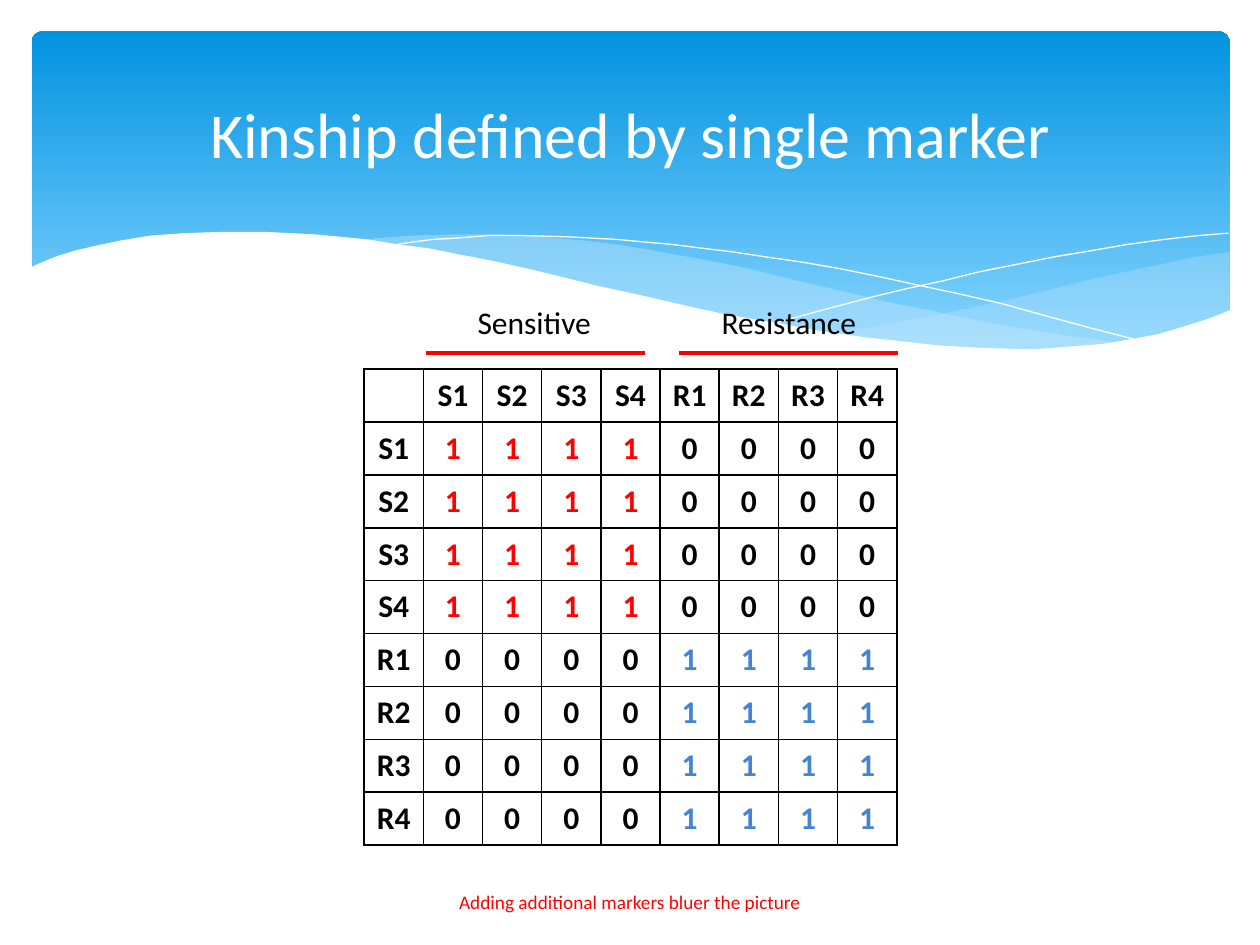
from lxml import etree
from pptx import Presentation
from pptx.dml.color import RGBColor
from pptx.enum.shapes import MSO_CONNECTOR, MSO_SHAPE
from pptx.enum.text import MSO_ANCHOR, PP_ALIGN
from pptx.oxml.ns import qn
from pptx.util import Inches, Pt

CENTER, MIDDLE, TOP = PP_ALIGN.CENTER, MSO_ANCHOR.MIDDLE, MSO_ANCHOR.TOP
WHITE = RGBColor(0xFF, 0xFF, 0xFF)
BLACK = RGBColor(0, 0, 0)
RED = RGBColor(0xFF, 0, 0)
BLUE = RGBColor(0x45, 0x84, 0xD3)
SKY_DARK = RGBColor(0x02, 0x93, 0xE0)
SKY_LIGHT = RGBColor(0x83, 0xD3, 0xFE)
WAVE_BLUE = RGBColor(0xC6, 0xE7, 0xFC)
FONT = "Calibri"

# Content
TITLE = "Kinship defined by single marker"
FOOTNOTE = "Adding additional markers bluer the picture"
SENSITIVE = ["S1", "S2", "S3", "S4"]
RESISTANT = ["R1", "R2", "R3", "R4"]
LINES = SENSITIVE + RESISTANT
# Group label, label left, label height, rule left
GROUPS = [("Sensitive", 3.53, 0.4, 3.38), ("Resistance", 5.55, 0.7, 5.39)]
RULE_WIDTH, RULE_TOP = 1.74, 2.8
TABLE_LEFT, TABLE_TOP, COLUMN_WIDTH, ROW_HEIGHT = 2.89, 2.93, 0.47, 0.42

# Banner waves, points in inches
RIGHT_WAVE = [
    (9.76, 2), (9.48, 2.04), (9.21, 2.1), (8.91, 2.16), (8.61, 2.23), (8.32, 2.3),
    (8.05, 2.37), (7.53, 2.48), (7.06, 2.57), (6.61, 2.65), (6.91, 2.69), (7.19, 2.72),
    (7.45, 2.75), (7.69, 2.77), (8.03, 2.78), (8.35, 2.77), (8.63, 2.75), (8.89, 2.72),
    (9.13, 2.67), (9.35, 2.61), (9.49, 2.57), (9.63, 2.52), (9.76, 2.47)]
LONG_WAVE = [
    (8.93, 2.73), (8.66, 2.69), (8.37, 2.65), (8.07, 2.6), (7.75, 2.54), (7.41, 2.47),
    (7.06, 2.4), (6.68, 2.31), (6.29, 2.22), (5.98, 2.14), (5.69, 2.08), (5.41, 2.03),
    (5.14, 1.98), (4.89, 1.94), (4.65, 1.91), (4.42, 1.89), (4.2, 1.87), (3.99, 1.86),
    (3.61, 1.86), (3.28, 1.87), (2.99, 1.89), (2.86, 1.91), (3.23, 1.96), (3.62, 2.03),
    (4.04, 2.11), (4.49, 2.22), (4.91, 2.32), (5.3, 2.4), (5.66, 2.48), (6.01, 2.55),
    (6.34, 2.61), (6.65, 2.66), (6.95, 2.7), (7.22, 2.74), (7.48, 2.76), (7.73, 2.77),
    (7.96, 2.78), (8.28, 2.78), (8.57, 2.77), (8.76, 2.75)]
FALLING_LINE = [
    (3.09, 1.95), (3.28, 1.92), (3.44, 1.9), (3.63, 1.89), (3.87, 1.87), (4.16, 1.87),
    (4.5, 1.88), (4.89, 1.9), (5.1, 1.92), (5.33, 1.94), (5.57, 1.97), (5.82, 2),
    (6.08, 2.04), (6.36, 2.08), (6.65, 2.13), (6.95, 2.19), (7.27, 2.26), (7.6, 2.33),
    (7.95, 2.41), (8.31, 2.51), (8.68, 2.61), (9.07, 2.71)]
RISING_LINE = [
    (6.13, 2.57), (6.53, 2.46), (6.95, 2.35), (7.2, 2.29), (7.48, 2.23), (7.76, 2.16),
    (8.06, 2.1), (8.36, 2.04), (8.66, 1.99), (8.95, 1.94), (9.24, 1.9), (9.51, 1.87),
    (9.75, 1.85)]
WHITE_WAVE = [
    (9.77, 2.46), (9.59, 2.53), (9.4, 2.59), (9.2, 2.65), (8.99, 2.69), (8.75, 2.73),
    (8.5, 2.75), (8.23, 2.77), (8.09, 2.77), (7.78, 2.76), (7.44, 2.74), (7.08, 2.7),
    (6.88, 2.68), (6.68, 2.65), (6.47, 2.62), (6.26, 2.58), (6.03, 2.54), (5.79, 2.5),
    (5.55, 2.45), (5.29, 2.39), (5.03, 2.33), (4.75, 2.27), (4.47, 2.2), (4.18, 2.13),
    (3.91, 2.07), (3.65, 2.02), (3.4, 1.97), (3.16, 1.94), (2.92, 1.9), (2.71, 1.88),
    (2.5, 1.86), (2.3, 1.85), (2.11, 1.84), (1.77, 1.84), (1.46, 1.85), (1.19, 1.87),
    (0.95, 1.91), (0.76, 1.95), (0.59, 1.99), (0.46, 2.03), (0.36, 2.07), (0.29, 2.1),
    (0.23, 2.13), (0.23, 3.29), (9.77, 3.29)]


def write(frame, text, size, color, anchor, bold=False):
    frame.word_wrap = True
    frame.vertical_anchor = anchor
    paragraph = frame.paragraphs[0]
    paragraph.alignment = CENTER
    run = paragraph.add_run()
    run.text = text
    font = run.font
    font.name, font.size, font.bold = FONT, Pt(size), bold
    font.color.rgb = color


def add_label(slide, text, box, size, color, anchor):
    label = slide.shapes.add_textbox(*map(Inches, box))
    write(label.text_frame, text, size, color, anchor)


def add_outline(slide, points, closed):
    corners = [(Inches(x), Inches(y)) for x, y in points]
    builder = slide.shapes.build_freeform(*corners[0])
    builder.add_line_segments(corners[1:], close=closed)
    outline = builder.convert_to_shape()
    outline.shadow.inherit = False
    return outline


def add_wave(slide, points, color, opacity=100):
    wave = add_outline(slide, points, True)
    wave.fill.solid()
    wave.fill.fore_color.rgb = color
    wave.line.fill.background()
    if opacity < 100:
        rgb = wave.element.spPr.find(".//" + qn("a:srgbClr"))
        etree.SubElement(rgb, qn("a:alpha"), val=str(opacity * 1000))


def add_curve(slide, points):
    curve = add_outline(slide, points, False)
    curve.fill.background()
    curve.line.color.rgb = WHITE
    curve.line.width = Pt(0.75)


def add_banner(slide):
    banner = slide.shapes.add_shape(
        MSO_SHAPE.ROUNDED_RECTANGLE, *map(Inches, (0.25, 0.25, 9.51, 2.7)))
    banner.adjustments[0] = 0.034
    banner.shadow.inherit = False
    banner.line.fill.background()
    banner.fill.gradient()
    banner.fill.gradient_angle = 90
    stops = [(0.1, SKY_LIGHT), (1, SKY_DARK)]
    for stop, (position, color) in zip(banner.fill.gradient_stops, stops):
        stop.position = position
        stop.color.rgb = color
    add_wave(slide, RIGHT_WAVE, WAVE_BLUE, 29)
    add_wave(slide, LONG_WAVE, WAVE_BLUE, 40)
    add_curve(slide, FALLING_LINE)
    add_curve(slide, RISING_LINE)
    add_wave(slide, WHITE_WAVE, WHITE)


def format_cell(cell):
    cell.margin_left = cell.margin_right = Inches(0.01)
    cell.margin_top = cell.margin_bottom = Inches(0.05)
    cell.vertical_anchor = MIDDLE
    properties = cell._tc.get_or_add_tcPr()
    for side in ("lnL", "lnR", "lnT", "lnB"):
        border = etree.SubElement(properties, qn("a:" + side), w=str(Pt(1)))
        fill = etree.SubElement(border, qn("a:solidFill"))
        etree.SubElement(fill, qn("a:srgbClr"), val=str(BLACK))
    cell.fill.background()


def kinship(first, second):
    """Value and colour: 1 for two lines of one group, otherwise 0."""
    if first[0] != second[0]:
        return "0", BLACK
    return "1", RED if first in SENSITIVE else BLUE


def add_kinship_table(slide):
    header = [("", BLACK)] + [(name, BLACK) for name in LINES]
    rows = [header] + [
        [(name, BLACK)] + [kinship(name, other) for other in LINES] for name in LINES]
    count = len(rows)
    table = slide.shapes.add_table(
        count, count, Inches(TABLE_LEFT), Inches(TABLE_TOP),
        Inches(COLUMN_WIDTH * count), Inches(ROW_HEIGHT * count)).table
    table.first_row = table.horz_banding = False
    for index, row in enumerate(rows):
        table.columns[index].width = Inches(COLUMN_WIDTH)
        table.rows[index].height = Inches(ROW_HEIGHT)
        for column, (text, color) in enumerate(row):
            cell = table.cell(index, column)
            format_cell(cell)
            if text:
                write(cell.text_frame, text, 18, color, MIDDLE, bold=True)


def add_group(slide, text, left, height, rule_left):
    rule = slide.shapes.add_connector(
        MSO_CONNECTOR.STRAIGHT, Inches(rule_left), Inches(RULE_TOP),
        Inches(rule_left + RULE_WIDTH), Inches(RULE_TOP))
    rule.line.color.rgb = RED
    rule.line.width = Pt(2)
    etree.SubElement(rule.element.spPr, qn("a:effectLst"))
    add_label(slide, text, (left, 2.36, 1.42, height), 18, BLACK, TOP)


def main():
    presentation = Presentation()
    presentation.slide_width, presentation.slide_height = Inches(10), Inches(7.5)
    slide = presentation.slides.add_slide(presentation.slide_layouts[5])

    add_banner(slide)

    # Title, brought in front of the banner
    title = slide.shapes.title
    title.element.getparent().append(title.element)
    title.left, title.top, title.width, title.height = map(Inches, (0.5, 0.37, 9, 1.37))
    write(title.text_frame, TITLE, 36.5, WHITE, MIDDLE)

    # Table, group labels and footnote
    add_kinship_table(slide)
    for group in GROUPS:
        add_group(slide, *group)
    add_label(slide, FOOTNOTE, (0, 6.82, 10, 0.67), 11, RED, MIDDLE)

    presentation.save("out.pptx")


if __name__ == "__main__":
    main()
